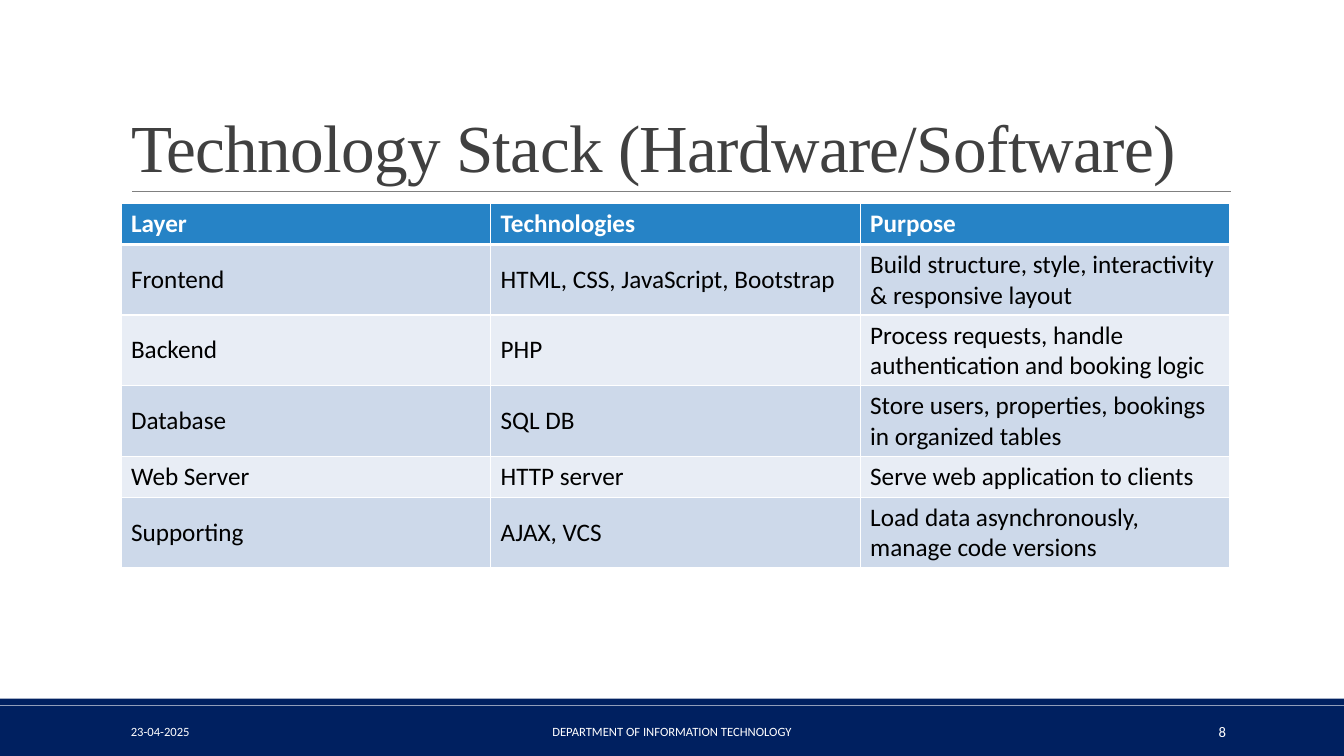
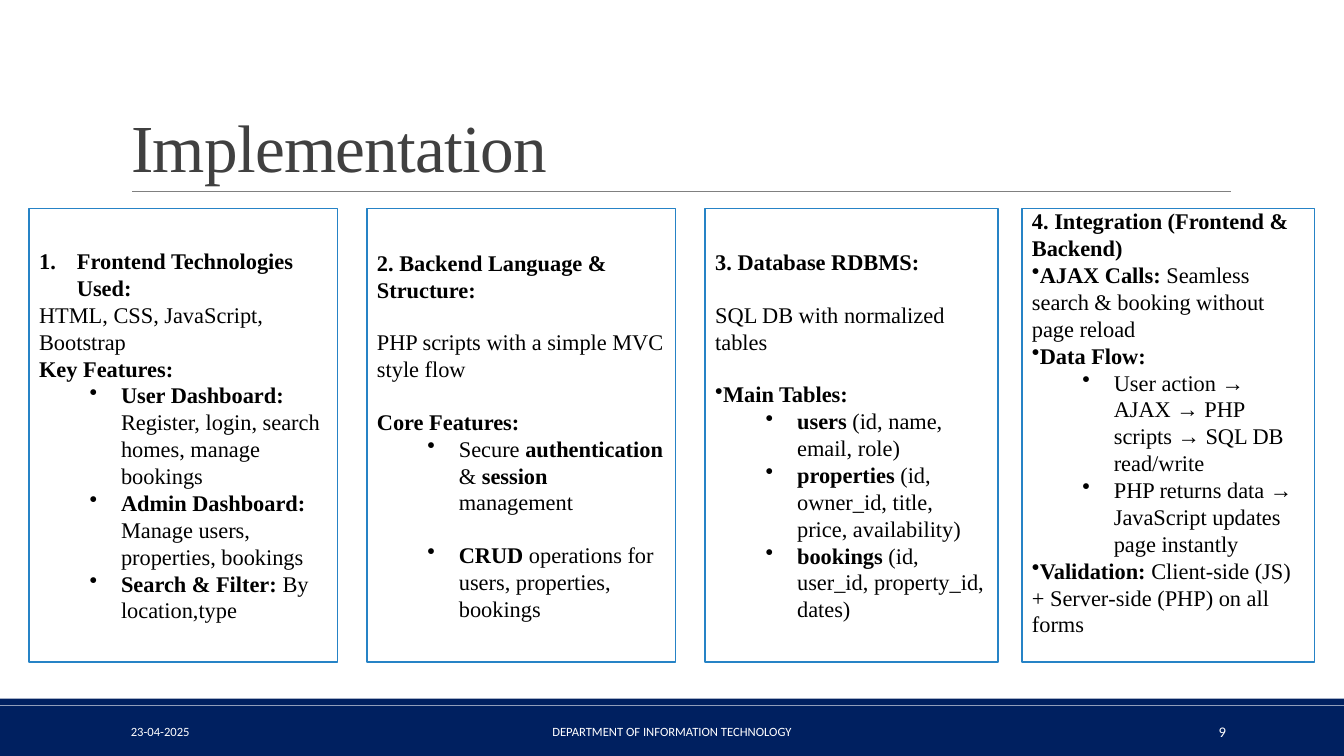
"""Build two slides on the technology stack and implementation of a booking application."""
import pptx
import pptx.dml.color
import pptx.enum.shapes
import pptx.enum.text
import pptx.oxml
import pptx.oxml.ns
import pptx.util

Pt = pptx.util.Pt
ALIGN = pptx.enum.text.PP_ALIGN
ANCHOR = pptx.enum.text.MSO_ANCHOR
RECTANGLE = pptx.enum.shapes.MSO_SHAPE.RECTANGLE

NAVY, BLUE, WHITE, BLACK = "002060", "2683C6", "FFFFFF", "000000"
TITLE_GRAY, RULE_GRAY = "404040", "808080"
ROW_FILLS = ("CDD9EA", "E8EDF5")
SERIF, SANS = "Times New Roman", "Calibri"
SLIDE_WIDTH, SLIDE_HEIGHT = 960, 540
CONTENT_LEFT, CONTENT_WIDTH = 86.4, 792
BLANK_LINE = 18.4

TABLE_ROWS = [
    ("Layer", "Technologies", "Purpose"),
    ("Frontend", "HTML, CSS, JavaScript, Bootstrap",
     "Build structure, style, interactivity & responsive layout"),
    ("Backend", "PHP", "Process requests, handle authentication and booking logic"),
    ("Database", "SQL DB", "Store users, properties, bookings in organized tables"),
    ("Web Server", "HTTP server", "Serve web application to clients"),
    ("Supporting", "AJAX, VCS", "Load data asynchronously, manage code versions"),
]

PLAIN = {}
SPACED = {"before": BLANK_LINE}
NUMBER = {"bullet": "number", "margin": 27, "indent": -27}
BULLET = {"bullet": "•"}
SUB_BULLET = {"bullet": "•", "level": 1, "margin": 58.5, "indent": -22.5}

PANELS = [
    ((20.9, 149, 220.3, 324), 3.6, [
        ("**Frontend Technologies Used:**", NUMBER),
        ("HTML, CSS, JavaScript, Bootstrap", PLAIN),
        ("**Key Features:**", PLAIN),
        ("**User Dashboard:** Register, login, search homes, manage bookings", SUB_BULLET),
        ("**Admin Dashboard:** Manage users, properties, bookings", SUB_BULLET),
        ("**Search & Filter:** By location,type", SUB_BULLET),
    ]),
    ((262.2, 149, 220.3, 324), 3.6, [
        ("**2. Backend Language & Structure:**", PLAIN),
        ("PHP scripts with a simple MVC style flow", SPACED),
        ("**Core Features:**", SPACED),
        ("Secure **authentication** & **session** management", SUB_BULLET),
        ("**CRUD** operations for users, properties, bookings", SUB_BULLET | SPACED),
    ]),
    ((503.8, 149, 209, 324), 3.6, [
        ("**3. Database RDBMS:**", PLAIN),
        ("SQL DB with normalized tables", SPACED),
        ("**Main Tables:**", BULLET | SPACED),
        ("**users** (id, name, email, role)", SUB_BULLET),
        ("**properties** (id, owner_id, title, price, availability)", SUB_BULLET),
        ("**bookings** (id, user_id, property_id, dates)", SUB_BULLET),
    ]),
    ((730, 149, 209, 324), 3.6 + BLANK_LINE, [
        ("**4. Integration (Frontend & Backend)**", PLAIN),
        ("**AJAX Calls:** Seamless search & booking without page reload", BULLET),
        ("**Data Flow:**", BULLET),
        ("User action → AJAX → PHP scripts → SQL DB read/write", SUB_BULLET),
        ("PHP returns data → JavaScript updates page instantly", SUB_BULLET),
        ("**Validation:** Client‑side (JS) + Server‑side (PHP) on all forms", BULLET),
    ]),
]


def color(hex_string):
    """Return the colour for a hex string."""
    return pptx.dml.color.RGBColor.from_string(hex_string)


def points(box):
    """Return the lengths of a box in points."""
    return [Pt(length) for length in box]


def add_element(parent, tag, **attributes):
    """Append a drawing element to its parent and return it."""
    element = pptx.oxml.parse_xml(f"<a:{tag} {pptx.oxml.ns.nsdecls('a')}/>")
    for name, value in attributes.items():
        element.set(name, str(value))
    parent.append(element)
    return element


def write(frame, text, size=16, font=SERIF, fill=BLACK, align=ALIGN.LEFT, bold=False,
          line_spacing=None, character_spacing=None, before=0, level=0,
          bullet=None, margin=0, indent=0):
    """Write one paragraph, in which double asterisks enclose bold words."""
    paragraph = frame.paragraphs[0]
    if paragraph.runs:
        paragraph = frame.add_paragraph()
    paragraph.alignment = align
    paragraph.level = level
    paragraph.space_before = Pt(before)
    if line_spacing:
        paragraph.line_spacing = line_spacing
    if bullet:
        properties = paragraph._p.get_or_add_pPr()
        properties.set("marL", str(Pt(margin)))
        properties.set("indent", str(Pt(indent)))
        if bullet == "number":
            add_element(properties, "buAutoNum", type="arabicPeriod")
        else:
            add_element(properties, "buChar", char=bullet)
    for index, piece in enumerate(text.split("**")):
        if not piece:
            continue
        run = paragraph.add_run()
        run.text = piece
        run.font.size = Pt(size)
        run.font.name = font
        run.font.bold = bold or index % 2 == 1
        run.font.color.rgb = color(fill)
        if character_spacing:
            run._r.get_or_add_rPr().set("spc", str(int(character_spacing * 100)))


def add_rectangle(slide, box, fill, line=None):
    """Add a rectangle without a shadow."""
    shape = slide.shapes.add_shape(RECTANGLE, *points(box))
    shape.shadow.inherit = False
    shape.fill.solid()
    shape.fill.fore_color.rgb = color(fill)
    if line:
        shape.line.color.rgb = color(line)
        shape.line.width = Pt(1.25)
    else:
        shape.line.fill.background()
    return shape


def add_title(slide, title, box):
    """Place the title and the rule below it."""
    left, top, width, height = box
    shape = slide.shapes.title
    shape.left, shape.top, shape.width, shape.height = points(box)
    frame = shape.text_frame
    frame.auto_size = pptx.enum.text.MSO_AUTO_SIZE.NONE
    frame.word_wrap = True
    frame.vertical_anchor = ANCHOR.BOTTOM
    write(frame, title, size=48, fill=TITLE_GRAY, line_spacing=0.85, character_spacing=-0.5)
    bottom = top + height
    rule = slide.shapes.add_connector(
        pptx.enum.shapes.MSO_CONNECTOR.STRAIGHT,
        *points((left + 8, bottom, left + width + 0.7, bottom)))
    rule.line.color.rgb = color(RULE_GRAY)
    rule.line.width = Pt(0.5)
    add_element(rule._element.spPr, "effectLst")


def add_footer(slide, number, box):
    """Place the footer band with date, department and slide number."""
    left, top, width, height = box
    add_rectangle(slide, (left, top + 5, width, height - 5), NAVY)
    add_rectangle(slide, (left, top, width, 4.7), NAVY)
    entries = [
        (86.4, 194.4, "23-04-2025", 9, ALIGN.LEFT),
        (290.2, 379.4, "DEPARTMENT OF INFORMATION TECHNOLOGY", 9, ALIGN.CENTER),
        (779.8, 103, str(number), 10.5, ALIGN.RIGHT),
    ]
    for offset, entry_width, text, size, align in entries:
        entry_box = (left + offset, top + 9.3, entry_width, 28.8)
        frame = slide.shapes.add_textbox(*points(entry_box)).text_frame
        frame.word_wrap = True
        frame.vertical_anchor = ANCHOR.MIDDLE
        write(frame, text, size=size, font=SANS, fill=WHITE, align=align)


def format_cell(cell, text, row):
    """Format one table cell by its row."""
    properties = cell._tc.get_or_add_tcPr()
    widths = {"lnL": 1, "lnR": 1, "lnT": 3 if row == 1 else 1, "lnB": 3 if row == 0 else 1}
    for tag, width in widths.items():
        border = add_element(properties, tag, w=Pt(width))
        add_element(add_element(border, "solidFill"), "srgbClr", val=WHITE)
    cell.fill.solid()
    cell.fill.fore_color.rgb = color(ROW_FILLS[(row - 1) % 2] if row else BLUE)
    cell.vertical_anchor = ANCHOR.MIDDLE
    write(cell.text_frame, text, size=18, font=SANS, fill=BLACK if row else WHITE, bold=row == 0)


def add_stack_table(slide, box):
    """Place the technology table."""
    table = slide.shapes.add_table(len(TABLE_ROWS), len(TABLE_ROWS[0]), *points(box)).table
    table.first_row = False
    table.horz_banding = False
    for row, texts in enumerate(TABLE_ROWS):
        for column, text in enumerate(texts):
            format_cell(table.cell(row, column), text, row)


def add_panel(slide, box, bottom_inset, paragraphs):
    """Place one outlined panel of text."""
    frame = add_rectangle(slide, box, WHITE, BLUE).text_frame
    frame.word_wrap = True
    frame.vertical_anchor = ANCHOR.MIDDLE
    frame.margin_bottom = Pt(bottom_inset)
    for text, style in paragraphs:
        write(frame, text, **style)


def add_slide(presentation, title, number):
    """Add a slide with the shared title and footer."""
    slide = presentation.slides.add_slide(presentation.slide_layouts[5])
    add_footer(slide, number, (0, 499, SLIDE_WIDTH, 41))
    add_title(slide, title, (CONTENT_LEFT, 22.3, CONTENT_WIDTH, 114.5))
    return slide


def main():
    """Build and save the presentation."""
    presentation = pptx.Presentation()
    presentation.slide_width = Pt(SLIDE_WIDTH)
    presentation.slide_height = Pt(SLIDE_HEIGHT)
    stack_slide = add_slide(presentation, "Technology Stack (Hardware/Software)", 8)
    add_stack_table(stack_slide, (CONTENT_LEFT, 145.4, CONTENT_WIDTH, 175.2))
    implementation_slide = add_slide(presentation, "Implementation", 9)
    for box, bottom_inset, paragraphs in PANELS:
        add_panel(implementation_slide, box, bottom_inset, paragraphs)
    presentation.save("out.pptx")


if __name__ == "__main__":
    main()
